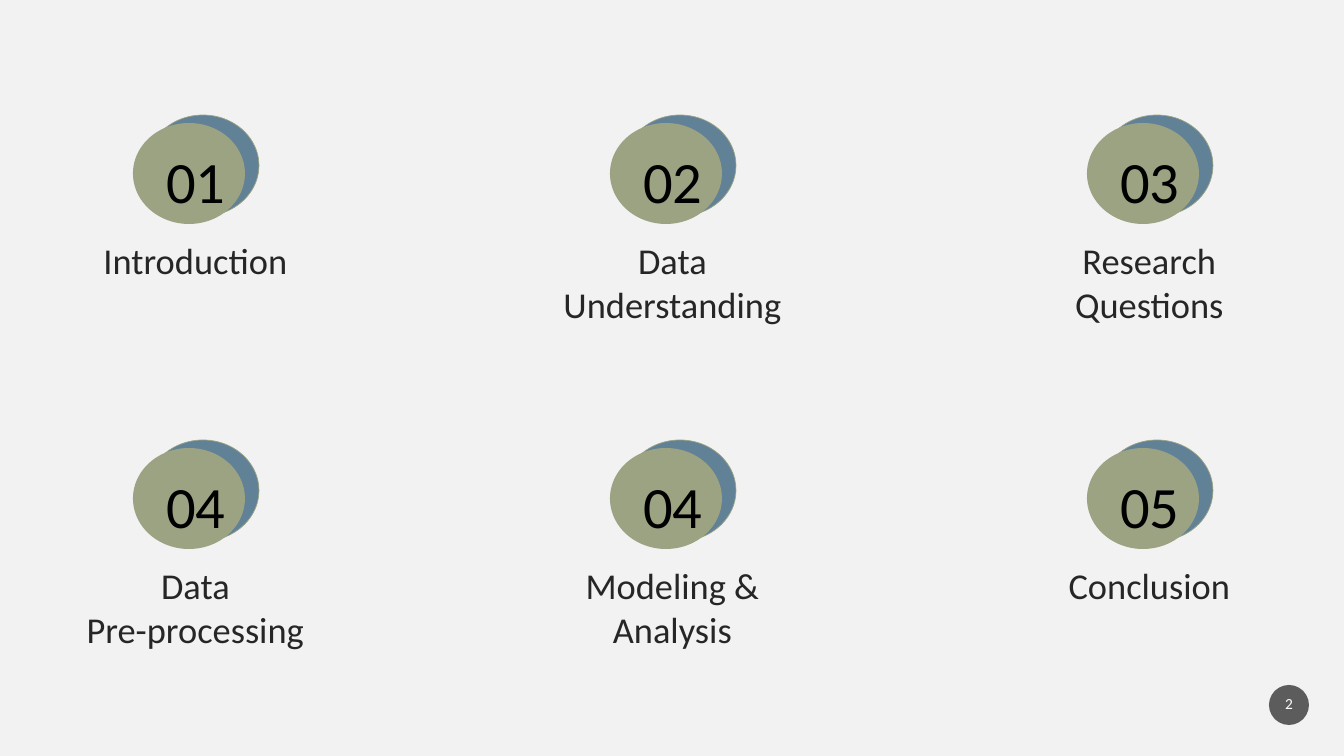
from dataclasses import dataclass
from lxml import etree
from pptx import Presentation
from pptx import util as u
from pptx.dml.color import RGBColor
from pptx.enum import shapes, text
from pptx.oxml.ns import qn


@dataclass(frozen=True)
class Theme:
    back: str = "F2F2F2"
    blue: str = "618197"
    green: str = "9CA383"
    black: str = "000000"
    ink: str = "262626"
    dark: str = "1D1D1D"
    white: str = "FFFFFF"
    font: str = "Calibri"
    big: float = 41.8
    mid: float = 26
    small: float = 11


LOOK = Theme()
SCALE = 914400 / 100.8
TOPICS = [
    ("01", ["Introduction"]),
    ("02", ["Data", "Understanding"]),
    ("03", ["Research", "Questions"]),
    ("04", ["Data", "Pre-processing"]),
    ("04", ["Modeling &", "Analysis"]),
    ("05", ["Conclusion"]),
]


def px(*sizes):
    return [u.Emu(round(size * SCALE)) for size in sizes]


def tint(color):
    return RGBColor.from_string(color)


def oval(parent, box, fill, edge=None):
    disc = parent.shapes.add_shape(shapes.MSO_SHAPE.OVAL, *px(*box))
    disc.shadow.inherit = False
    disc.fill.solid()
    disc.fill.fore_color.rgb = tint(fill)
    if edge:
        disc.line.color.rgb = tint(edge)
        disc.line.width = u.Pt(0.5)
    else:
        disc.line.fill.background()
    return disc


def write(shape, lines, size, color, pad, anchor, tight=False):
    frame = shape.text_frame
    frame.word_wrap = True
    frame.vertical_anchor = anchor
    frame.margin_left, frame.margin_top = px(*pad)
    frame.margin_right, frame.margin_bottom = px(*pad)
    for i, line in enumerate(lines):
        para = frame.add_paragraph() if i else frame.paragraphs[0]
        para.alignment = text.PP_ALIGN.CENTER
        if tight:
            para.line_spacing = 0.9
            para.space_after = u.Pt(6)
        run = para.add_run()
        run.text = line
        run.font.name = LOOK.font
        run.font.size = u.Pt(size)
        run.font.color.rgb = tint(color)


def topic(slide, box, number, lines):
    left, top, width = box
    group = slide.shapes.add_group_shape()
    oval(group, (left + 91, top, 112, 101), LOOK.blue, LOOK.green)
    oval(group, (left + 77, top + 8, 112, 101), LOOK.green)
    count = group.shapes.add_textbox(*px(left + 79, top + 57, 122, 54))
    write(count, [number], LOOK.big, LOOK.black, (10, 10),
          text.MSO_ANCHOR.BOTTOM, True)
    label = group.shapes.add_textbox(
        *px(left, top + 123, width, 44 * len(lines)))
    write(label, lines, LOOK.mid, LOOK.ink, (0, 0), text.MSO_ANCHOR.TOP)
    label.text_frame.auto_size = text.MSO_AUTO_SIZE.SHAPE_TO_FIT_TEXT


def grid(slide, box):
    left, top, wide, high = box
    for i, (number, lines) in enumerate(TOPICS):
        row, col = divmod(i, 3)
        cell = (left + col * wide, top + row * high, 279)
        topic(slide, cell, number, lines)


def badge(slide, box, number):
    disc = oval(slide, box, LOOK.dark)
    shade = disc.fill._xPr.find(".//" + qn("a:srgbClr"))
    etree.SubElement(shade, qn("a:alpha"), val="70000")
    write(disc, [number], LOOK.small, LOOK.white, (2, 5),
          text.MSO_ANCHOR.MIDDLE, True)


def main():
    deck = Presentation()
    deck.slide_width, deck.slide_height = px(1344, 756)
    slide = deck.slides.add_slide(deck.slide_layouts[6])
    slide.background.fill.solid()
    slide.background.fill.fore_color.rgb = tint(LOOK.back)
    grid(slide, (56, 115, 477, 325))
    badge(slide, (1269, 685, 40, 40), "2")
    deck.save("out.pptx")


if __name__ == "__main__":
    main()
